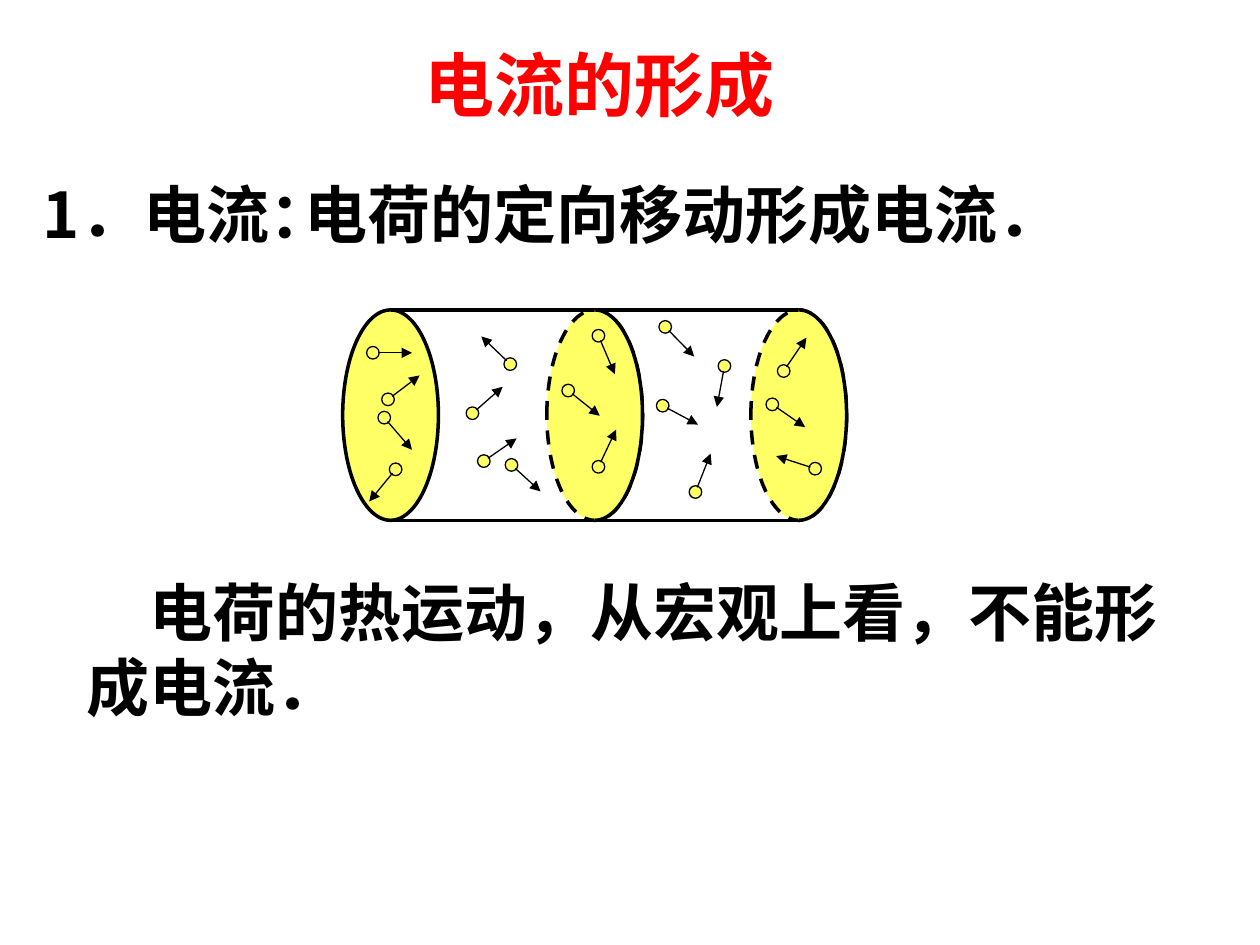
import math

from lxml import etree
from pptx import Presentation
from pptx import util as u
from pptx.dml.color import RGBColor
from pptx.enum import dml, shapes, text
from pptx.oxml.ns import qn

COLORS = {"title": "FF0000", "ink": "000000", "charge": "FFFF66"}
CELL = u.Inches(0.05)
CJK = "Noto Sans CJK JP"
DISC_WIDTH, DISC_PITCH = 15.2, 32.4
CHARGE_SIZE, SHAFT_GAP = 2, 0.8

CHARGES = [
    ((7.2, 14.2), (12.2, 10.4)), ((8.4, 25.3), (4.2, 30.4)),
    ((51.2, 2.7), (55.8, 7.4)), ((75, 25.2), (68.8, 23.2)),
    ((68.2, 15), (73.4, 18.6)), ((70, 9.7), (73.6, 4.4)),
    ((40.6, 4.1), (43.2, 10.2)), ((40.6, 24.9), (43.4, 19)),
    ((35.8, 12.8), (40.8, 16.8)), ((56, 28.9), (58.4, 22.8)),
    ((4.8, 6.8), (11, 6.8)), ((22.4, 24), (27.6, 20.4)),
    ((20.6, 16.4), (25.4, 12.2)), ((60.6, 8.9), (59.4, 15.4)),
    ((26.6, 8.6), (22, 4.2)), ((50.8, 15.2), (56.4, 18.2)),
    ((26.8, 24.6), (31.4, 28.8)), ((6.6, 17.1), (11, 22.2)),
]


def cells(*values):
    return [round(value * CELL) for value in values]


def color(name):
    return RGBColor.from_string(COLORS[name])


def write(holder, box, words, size=36, ink="ink", latin=CJK,
          anchor=text.MSO_ANCHOR.TOP, margin=0, indent=0):
    holder.left, holder.top, holder.width, holder.height = cells(*box)
    frame = holder.text_frame
    frame.text = words
    frame.word_wrap = True
    frame.auto_size = text.MSO_AUTO_SIZE.NONE
    frame.vertical_anchor = anchor
    paragraph = frame.paragraphs[0]
    paragraph.alignment = text.PP_ALIGN.LEFT
    paragraph.space_before = u.Pt(0)
    properties = paragraph._p.get_or_add_pPr()
    properties.set("marL", str(u.Inches(margin)))
    properties.set("indent", str(u.Inches(indent)))
    etree.SubElement(properties, qn("a:buNone"))
    run = paragraph.runs[0]
    run.font.size = u.Pt(size)
    run.font.bold = True
    run.font.color.rgb = color(ink)
    run.font.name = latin
    etree.SubElement(run._r.get_or_add_rPr(), qn("a:ea"), typeface=CJK)


def stroke(line, weight):
    line.color.rgb = color("ink")
    line.width = u.Pt(weight)


def add_round(group, preset, box, weight):
    figure = group.shapes.add_shape(preset, *cells(*box))
    figure.shadow.inherit = False
    figure.fill.solid()
    figure.fill.fore_color.rgb = color("charge")
    stroke(figure.line, weight)
    return figure


def add_line(group, start, end, weight):
    line = group.shapes.add_connector(
        shapes.MSO_CONNECTOR.STRAIGHT, *cells(*start, *end))
    stroke(line.line, weight)
    etree.SubElement(line._element.spPr, qn("a:effectLst"))
    return line


def add_charge(group, center, tip):
    x, y = center
    radius = CHARGE_SIZE / 2
    add_round(group, shapes.MSO_SHAPE.OVAL,
              (x - radius, y - radius, CHARGE_SIZE, CHARGE_SIZE), 0.75)
    share = SHAFT_GAP / math.dist(center, tip)
    start = (x + share * (tip[0] - x), y + share * (tip[1] - y))
    velocity = add_line(group, start, tip, 0.75)
    etree.SubElement(velocity.line._get_or_add_ln(), qn("a:tailEnd"), type="triangle")


def add_conductor(slide, box):
    left, top, width, height = box
    group = slide.shapes.add_group_shape()
    sections = [(left + i * DISC_PITCH, top, DISC_WIDTH, height) for i in range(3)]
    for i, section in enumerate(sections):
        disc = add_round(group, shapes.MSO_SHAPE.OVAL, section, 2)
        if i:
            disc.line.dash_style = dml.MSO_LINE.DASH
    inset = DISC_WIDTH / 2
    for y in (top, top + height):
        add_line(group, (left + inset, y), (left + width - inset, y), 2)
    for section in sections[1:]:
        front = add_round(group, shapes.MSO_SHAPE.ARC, section, 2)
        front.adjustments[0] = 162
        front.adjustments[1] = 54
    for center, tip in CHARGES:
        add_charge(group, (left + center[0], top + center[1]),
                   (left + tip[0], top + tip[1]))


def add_heading(slide, box):
    write(slide.shapes.title, box, "电流的形成", size=40, ink="title",
          latin="Times New Roman")


def add_definition(slide, box):
    left, top, width, height = box
    term, meaning = list(slide.placeholders)[1:3]
    middle = text.MSO_ANCHOR.MIDDLE
    write(term, (left, top, 57.4, height), "1．电流：",
          anchor=middle, margin=0.38, indent=-0.38)
    write(meaning, (left + 39.2, top, width - 39.2, height),
          "电荷的定向移动形成电流．", anchor=middle, margin=0.38, indent=-0.26)


def add_conclusion(slide, box):
    conclusion = slide.shapes.add_textbox(*cells(*box))
    write(conclusion, box, "电荷的热运动，从宏观上看，不能形成电流．", indent=0.5)


def main():
    deck = Presentation()
    deck.slide_width, deck.slide_height = cells(200, 150)
    slide = deck.slides.add_slide(deck.slide_layouts[3])
    add_heading(slide, (65.4, 5.6, 64, 15.4))
    add_definition(slide, (4.8, 25.8, 184, 16))
    add_conductor(slide, (54.4, 49.2, 80, 33.4))
    add_conclusion(slide, (11.8, 90, 174, 26))
    deck.save("out.pptx")


if __name__ == "__main__":
    main()
